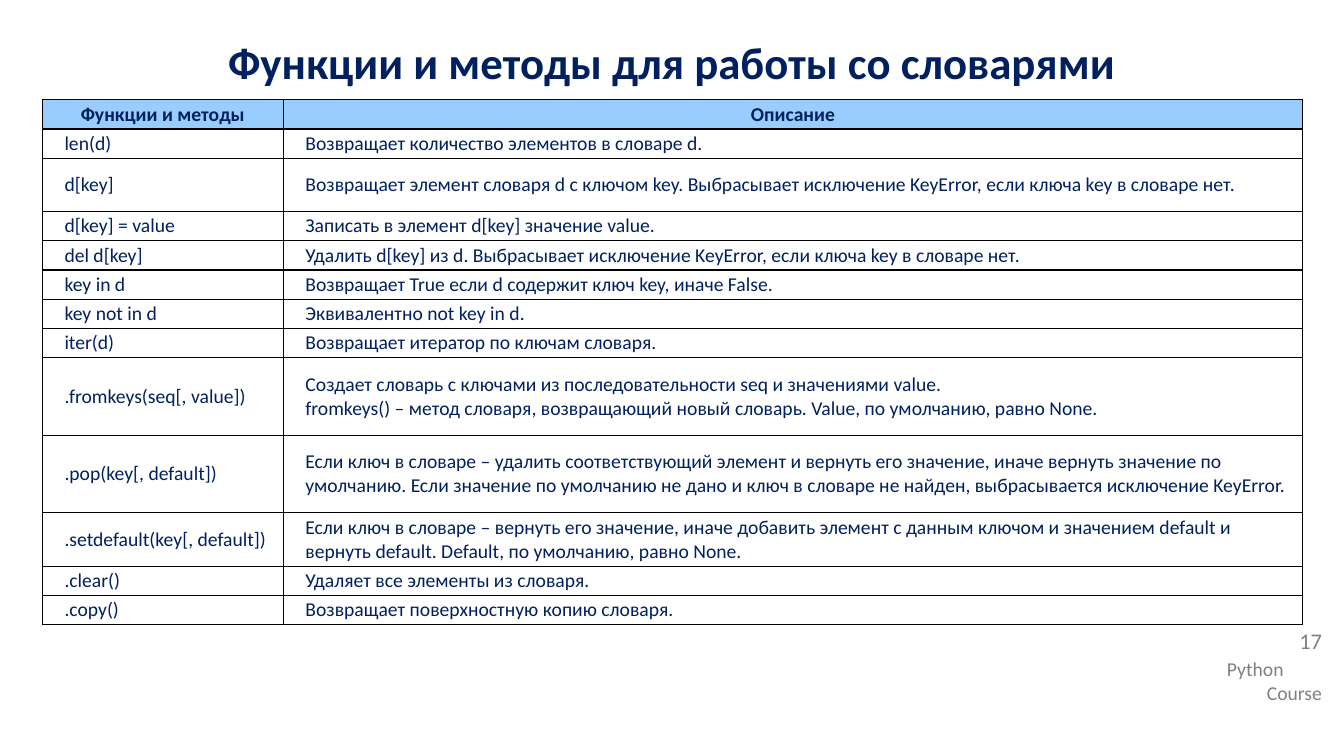
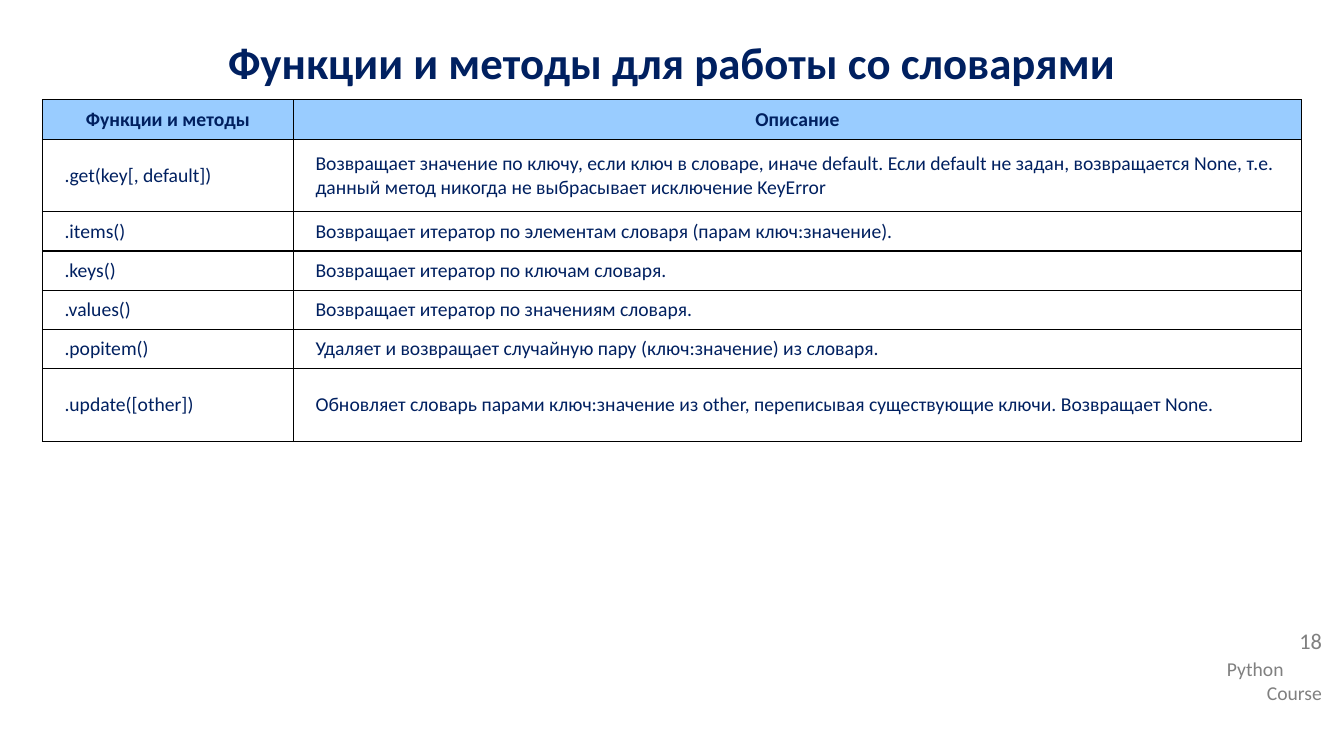
import pptx
import pptx.dml.color
import pptx.enum.text
import pptx.oxml
import pptx.oxml.ns
import pptx.util
from dataclasses import dataclass

Inches = pptx.util.Inches
Pt = pptx.util.Pt
ALIGN = pptx.enum.text.PP_ALIGN
ANCHOR = pptx.enum.text.MSO_ANCHOR


@dataclass(frozen=True)
class Theme:
    font: str = "Calibri"
    ink: str = "002060"
    muted: str = "808080"
    header_fill: str = "99CCFF"
    border: str = "000000"
    title_size: int = 32
    number_size: int = 16
    text_size: int = 14
    border_width: int = 1


THEME = Theme()
TITLE = "Функции и методы для работы со словарями"
HEADINGS = ("Функции и методы", "Описание")
TABLE_LEFT, TABLE_TOP = 0.42, 0.99
CELL_MARGIN, CELL_INDENT = 0.02, 0.2

SLIDES = [
    {
        "number": 17,
        "columns": (2.39, 10.11),
        "header_height": 0.29,
        "rows": [
            (0.29, "len(d)", "Возвращает количество элементов в словаре d."),
            (0.53, "d[key]", "Возвращает элемент словаря d с ключом key. "
             "Выбрасывает исключение KeyError, если ключа key в словаре нет."),
            (0.29, "d[key] = value", "Записать в элемент d[key] значение value."),
            (0.29, "del d[key]", "Удалить d[key] из d. "
             "Выбрасывает исключение KeyError, если ключа key в словаре нет."),
            (0.29, "key in d", "Возвращает True если d содержит ключ key, иначе False."),
            (0.29, "key not in d", "Эквивалентно not key in d."),
            (0.29, "iter(d)", "Возвращает итератор по ключам словаря."),
            (0.77, ".fromkeys(seq[, value])",
             "Создает словарь с ключами из последовательности seq и значениями value.\n"
             "fromkeys() – метод словаря, возвращающий новый словарь. "
             "Value, по умолчанию, равно None."),
            (0.77, ".pop(key[, default])",
             "Если ключ в словаре – удалить соответствующий элемент и вернуть его значение, "
             "иначе вернуть значение по умолчанию. Если значение по умолчанию не дано "
             "и ключ в словаре не найден, выбрасывается исключение KeyError."),
            (0.53, ".setdefault(key[, default])",
             "Если ключ в словаре – вернуть его значение, иначе добавить элемент с данным "
             "ключом и значением default и вернуть default. "
             "Default, по умолчанию, равно None."),
            (0.29, ".clear()", "Удаляет все элементы из словаря."),
            (0.29, ".copy()", "Возвращает поверхностную копию словаря."),
        ],
    },
    {
        "number": 18,
        "columns": (2.49, 10),
        "header_height": 0.39,
        "rows": [
            (0.72, ".get(key[, default])",
             "Возвращает значение по ключу, если ключ в словаре, иначе default. "
             "Если default не задан, возвращается None, т.е. данный метод никогда "
             "не выбрасывает исключение KeyError"),
            (0.39, ".items()", "Возвращает итератор по элементам словаря (парам ключ:значение)."),
            (0.39, ".keys()", "Возвращает итератор по ключам словаря."),
            (0.39, ".values()", "Возвращает итератор по значениям словаря."),
            (0.39, ".popitem()",
             "Удаляет и возвращает случайную пару (ключ:значение) из словаря."),
            (0.72, ".update([other])",
             "Обновляет словарь парами ключ:значение из other, переписывая "
             "существующие ключи. Возвращает None."),
        ],
    },
]


def apply_format(target, values):
    for name, value in values.items():
        setattr(target, name, value)


def format_paragraph(paragraph, size, color, bold=False, **values):
    apply_format(paragraph, values)
    for run in paragraph.runs:
        apply_format(run.font, {"name": THEME.font, "size": Pt(size), "bold": bold})
        run.font.color.rgb = pptx.dml.color.RGBColor.from_string(color)


def add_title(slide):
    title = slide.shapes.title
    apply_format(title, {"left": 0, "top": Inches(0.23),
                         "width": Inches(13.33), "height": Inches(0.76)})
    title.text_frame.text = TITLE
    title.text_frame.vertical_anchor = ANCHOR.MIDDLE
    format_paragraph(title.text_frame.paragraphs[0], THEME.title_size, THEME.ink, True,
                     alignment=ALIGN.CENTER, space_before=Pt(5), space_after=Pt(5))


def add_corner_text(slide, top, height, text):
    box = slide.shapes.add_textbox(Inches(12.07), Inches(top), Inches(1.14), Inches(height))
    box.text_frame.word_wrap = True
    box.text_frame.text = text
    return box.text_frame.paragraphs


def add_footer(slide, number):
    course_lines = add_corner_text(slide, 6.47, 0.57, "Python\nCourse")
    for paragraph, alignment in zip(course_lines, (ALIGN.LEFT, ALIGN.RIGHT)):
        format_paragraph(paragraph, THEME.text_size, THEME.muted, alignment=alignment)
    number_line = add_corner_text(slide, 6.2, 0.45, str(number))[0]
    format_paragraph(number_line, THEME.number_size, THEME.muted, alignment=ALIGN.RIGHT,
                     line_spacing=0.9, space_before=Pt(10))


def add_borders(cell):
    properties = cell._tc.get_or_add_tcPr()
    for side in ("lnL", "lnR", "lnT", "lnB"):
        properties.append(pptx.oxml.parse_xml(
            f'<a:{side} {pptx.oxml.ns.nsdecls("a")} w="{Pt(THEME.border_width)}">'
            f'<a:solidFill><a:srgbClr val="{THEME.border}"/></a:solidFill></a:{side}>'))


def fill_cell(cell, text, is_header):
    margins = ("margin_left", "margin_right", "margin_top", "margin_bottom")
    apply_format(cell, dict.fromkeys(margins, Inches(CELL_MARGIN)))
    apply_format(cell, {"text": text, "vertical_anchor": ANCHOR.MIDDLE})
    add_borders(cell)
    if is_header:
        cell.fill.solid()
        cell.fill.fore_color.rgb = pptx.dml.color.RGBColor.from_string(THEME.header_fill)
    else:
        cell.fill.background()
    for paragraph in cell.text_frame.paragraphs:
        format_paragraph(paragraph, THEME.text_size, THEME.ink, is_header,
                         alignment=ALIGN.CENTER if is_header else ALIGN.LEFT)
        if not is_header:
            properties = paragraph._p.get_or_add_pPr()
            properties.set("marL", str(Inches(CELL_INDENT)))
            properties.set("indent", "0")


def add_method_table(slide, columns, header_height, rows):
    all_rows = [(header_height, *HEADINGS), *rows]
    total_height = sum(row[0] for row in all_rows)
    table = slide.shapes.add_table(
        len(all_rows), len(columns), Inches(TABLE_LEFT), Inches(TABLE_TOP),
        Inches(sum(columns)), Inches(total_height)).table
    apply_format(table, {"first_row": False, "horz_banding": False})
    for column, width in zip(table.columns, columns):
        column.width = Inches(width)
    for row_index, (height, *texts) in enumerate(all_rows):
        table.rows[row_index].height = Inches(height)
        for cell, text in zip(table.rows[row_index].cells, texts):
            fill_cell(cell, text, row_index == 0)


def main():
    presentation = pptx.Presentation()
    apply_format(presentation, {"slide_width": Inches(13.33), "slide_height": Inches(7.5)})
    title_only = presentation.slide_layouts[5]
    for content in SLIDES:
        slide = presentation.slides.add_slide(title_only)
        add_footer(slide, content["number"])
        add_title(slide)
        add_method_table(slide, content["columns"], content["header_height"], content["rows"])
    presentation.save("out.pptx")


if __name__ == "__main__":
    main()
